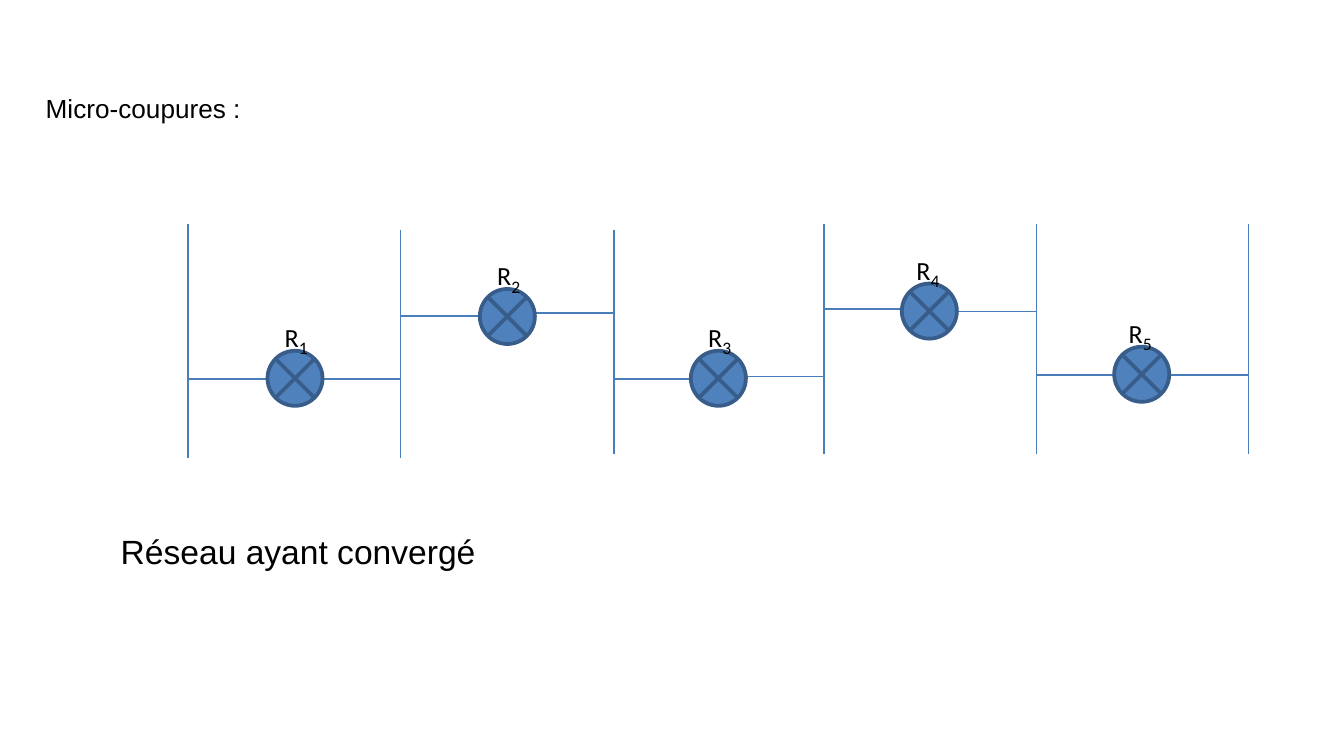
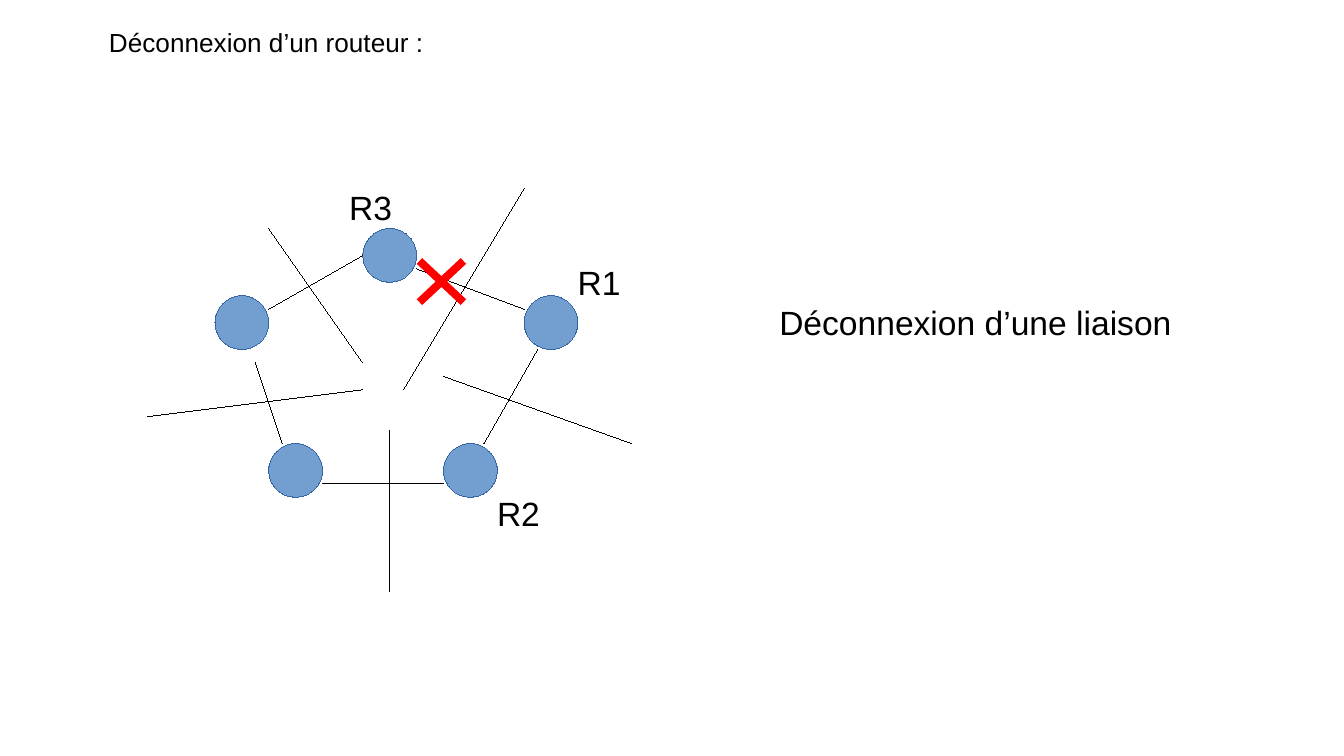
from lxml.etree import SubElement
from pptx import Presentation
from pptx.dml.color import RGBColor
from pptx.enum.shapes import MSO_CONNECTOR, MSO_SHAPE
from pptx.enum.text import MSO_ANCHOR
from pptx.oxml.ns import qn
from pptx.util import Inches, Pt

COLORS = {
    "text": "000000",
    "link": "4A7EBB",
    "router": "4F81BD",
    "edge": "385D8A",
    "node": "729FCF",
    "rim": "3465A4",
    "cut": "FF0000",
}
FONT = "Arial"
TITLE = 14
BODY = 18
HAIR = 0.01  # thinnest line, in points
SIDE = 0.41  # router diameter on the chain
NODE = 0.4   # router diameter on the ring


def color(name):
    return RGBColor.from_string(COLORS[name])


def style(run, size, font=FONT):
    run.font.size = Pt(size)
    run.font.name = font
    run.font.color.rgb = color("text")


def add_text(slide, text, box, size=BODY, inset=(0.1, 0.05)):
    frame = slide.shapes.add_textbox(*map(Inches, box)).text_frame
    frame.word_wrap = True
    frame.margin_left, frame.margin_right = Inches(inset[0]), Inches(0)
    frame.margin_top = frame.margin_bottom = Inches(inset[1])
    frame.text = text
    style(frame.paragraphs[0].runs[0], size)
    return frame


def add_title(slide, text, top, height, indent=0):
    box = (0.34, top, 9.32, height)
    return add_text(slide, text, box, TITLE, (indent, 0))


def add_line(slide, start, end, tint="text", width=HAIR):
    ends = map(Inches, (*start, *end))
    line = slide.shapes.add_connector(MSO_CONNECTOR.STRAIGHT, *ends)
    line.line.color.rgb = color(tint)
    line.line.width = Pt(width)
    SubElement(line._element.spPr, qn("a:effectLst"))


def add_shape(slide, kind, box, fill, edge=None, width=HAIR):
    shape = slide.shapes.add_shape(kind, *map(Inches, box))
    shape.shadow.inherit = False
    shape.fill.solid()
    shape.fill.fore_color.rgb = color(fill)
    if edge:
        shape.line.color.rgb = color(edge)
        shape.line.width = Pt(width)
    else:
        shape.line.fill.background()
    return shape


def add_router(slide, index, left, top, shift):
    add_shape(slide, MSO_SHAPE.FLOWCHART_SUMMING_JUNCTION,
              (left, top, SIDE, SIDE), "router", "edge", 2)
    frame = add_text(slide, "R", (left + shift, top - 0.3, 0.42, 0.37))
    part = frame.paragraphs[0]
    style(part.runs[0], TITLE, "Calibri")
    sub = part.add_run()
    sub.text = str(index)
    style(sub, 16.2, "Calibri")
    sub.font._element.set("baseline", "-25000")


def build_chain(slide):
    title = add_title(slide, "Micro-coupures :", 0.49, 0.63)
    title.vertical_anchor = MSO_ANCHOR.MIDDLE
    add_text(slide, "Réseau ayant convergé", (0.8, 3.9, 6.7, 0.38))

    # Networks: x, top, bottom
    nets = [(1.4, 1.67, 3.41), (2.98, 1.71, 3.41), (4.57, 1.71, 3.38),
            (6.13, 1.67, 3.38), (7.71, 1.67, 3.38), (9.29, 1.67, 3.38)]
    for x, top, bottom in nets:
        add_line(slide, (x, top), (x, bottom), "link", 0.75)

    # Routers: left, top, label shift, height of the left and right links
    routers = [(1.99, 2.61, 0.03, 2.82, 2.82), (3.57, 2.15, 0.03, 2.35, 2.33),
               (5.14, 2.61, 0.03, 2.82, 2.8), (6.71, 2.11, 0.01, 2.3, 2.32),
               (8.29, 2.58, 0.01, 2.79, 2.79)]
    for i, (left, top, shift, before, after) in enumerate(routers):
        add_line(slide, (nets[i][0], before), (left, before), "link", 0.75)
        add_line(slide, (left + SIDE, after), (nets[i + 1][0], after), "link", 0.75)
        add_router(slide, i + 1, left, top, shift)


def build_ring(slide):
    add_title(slide, "Déconnexion d’un routeur :", 0.2, 4.8, 0.47)

    # Routers
    for left, top in [(1.6, 2.2), (2.7, 1.7), (3.9, 2.2), (2, 3.3), (3.3, 3.3)]:
        add_shape(slide, MSO_SHAPE.OVAL, (left, top, NODE, NODE), "node", "rim")

    # Links between routers, then the networks that cross them
    links = [((1.9, 2.7), (2.1, 3.3)), ((2, 2.3), (2.7, 1.9)),
             ((3.1, 2), (3.9, 2.3)), ((2.4, 3.6), (3.3, 3.6)),
             ((3.6, 3.3), (4, 2.6))]
    nets = [((3.9, 1.4), (3, 2.9)), ((2, 1.7), (2.7, 2.7)),
            ((1.1, 3.1), (2.7, 2.9)), ((2.9, 3.2), (2.9, 4.4)),
            ((3.3, 2.8), (4.7, 3.3))]
    for start, end in links + nets:
        add_line(slide, start, end)

    # Cut link
    cross = add_shape(slide, MSO_SHAPE.MATH_MULTIPLY, (2.97, 1.8, 0.63, 0.59), "cut")
    cross.adjustments[0] = 0.1

    # Labels
    add_text(slide, "Déconnexion d’une liaison", (5.7, 2.2, 3.5, 0.38))
    for name, left, top, height in [("R1", 4.2, 1.9, 0.38), ("R3", 2.5, 1.34, 0.66),
                                    ("R2", 3.6, 3.62, 0.38)]:
        add_text(slide, name, (left, top, 0.6, height))


def main():
    deck = Presentation()
    deck.slide_width = Inches(10)
    deck.slide_height = deck.slide_width * 9 // 16
    for build in (build_chain, build_ring):
        build(deck.slides.add_slide(deck.slide_layouts[6]))
    deck.save("out.pptx")


if __name__ == "__main__":
    main()
